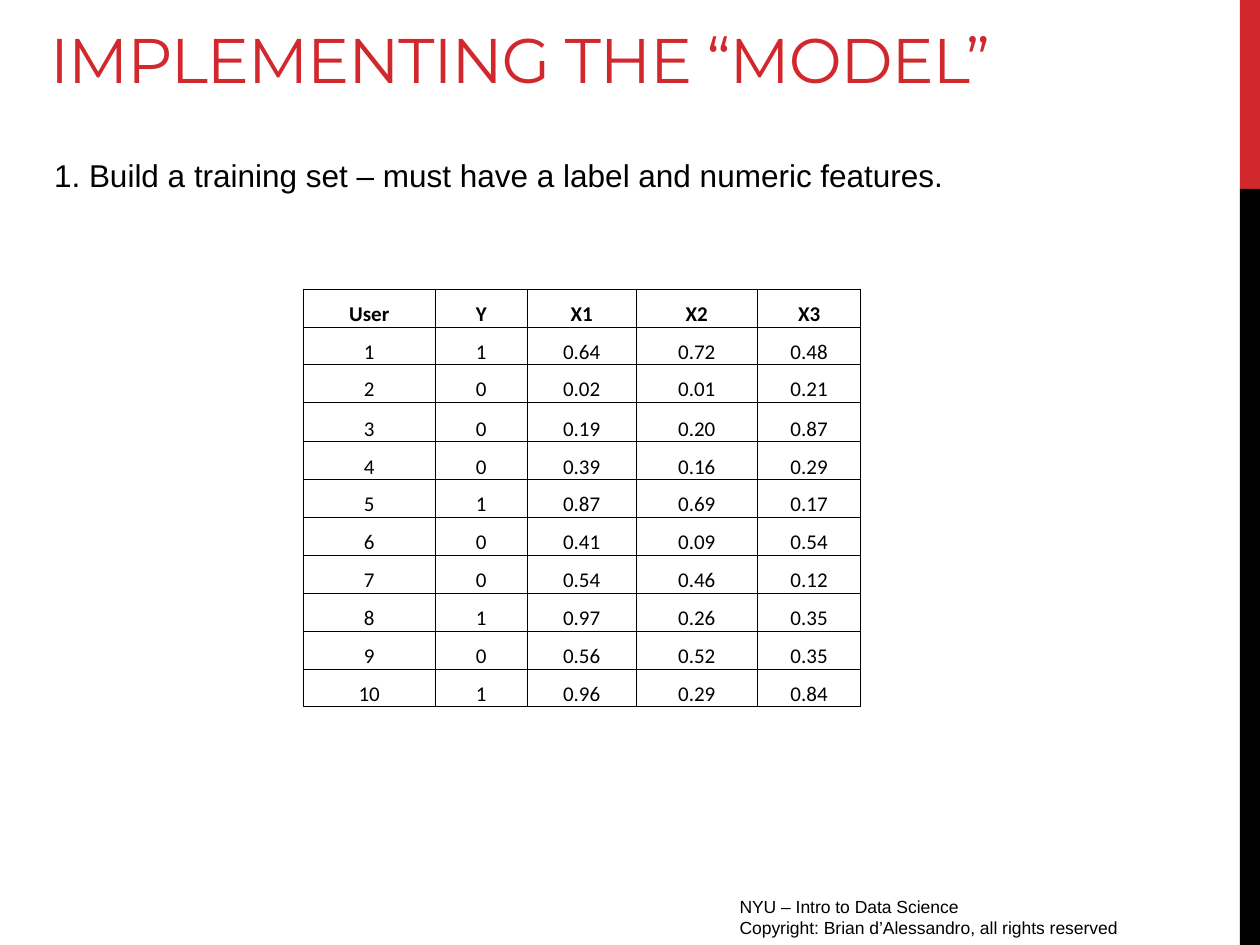
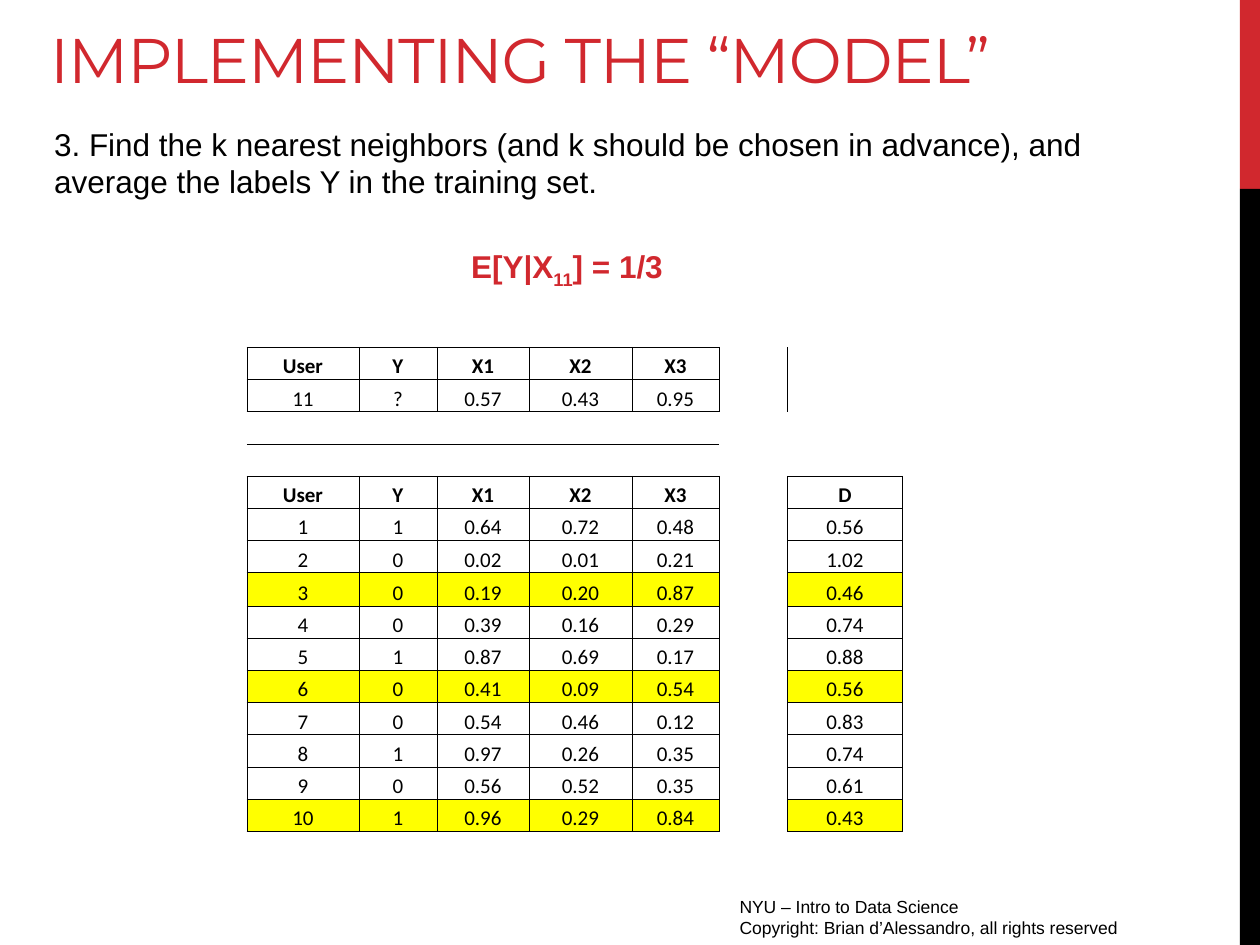
from dataclasses import dataclass

from lxml import etree
from pptx import Presentation
from pptx.dml.color import RGBColor
from pptx.enum.shapes import MSO_SHAPE
from pptx.enum.text import MSO_ANCHOR, PP_ALIGN
from pptx.oxml.ns import qn
from pptx.util import Pt

RECT = MSO_SHAPE.RECTANGLE
LEFT, CENTER = PP_ALIGN.LEFT, PP_ALIGN.CENTER
TOP, BOTTOM = MSO_ANCHOR.TOP, MSO_ANCHOR.BOTTOM

RED, BLACK, YELLOW = "D1282E", "000000", "FFFF00"
TITLE_FONT, BODY_FONT, TABLE_FONT = "Montserrat", "Arial", "Calibri"
NO_STYLE = "{2D5ABB26-0587-4C30-8999-92F81FD0307C}"

TITLE = "IMPLEMENTING THE “MODEL”"
FOOTER = "NYU – Intro to Data Science\nCopyright: Brian d’Alessandro, all rights reserved"
STEP_1 = "1. Build a training set – must have a label and numeric features."
STEP_3 = ("3. Find the k nearest neighbors (and k should be chosen in advance), "
          "and average the labels Y in the training set.")

HEADER = ["User", "Y", "X1", "X2", "X3"]
TRAINING = [
    ["1", "1", "0.64", "0.72", "0.48"],
    ["2", "0", "0.02", "0.01", "0.21"],
    ["3", "0", "0.19", "0.20", "0.87"],
    ["4", "0", "0.39", "0.16", "0.29"],
    ["5", "1", "0.87", "0.69", "0.17"],
    ["6", "0", "0.41", "0.09", "0.54"],
    ["7", "0", "0.54", "0.46", "0.12"],
    ["8", "1", "0.97", "0.26", "0.35"],
    ["9", "0", "0.56", "0.52", "0.35"],
    ["10", "1", "0.96", "0.29", "0.84"],
]
NEW_USER = ["11", "?", "0.57", "0.43", "0.95"]
DISTANCES = ["0.56", "1.02", "0.46", "0.74", "0.88", "0.56", "0.83", "0.74", "0.61", "0.43"]
NEAREST = {"3", "6", "10"}


@dataclass
class Box:
    left: float
    top: float
    width: float
    height: float

    def points(self) -> tuple:
        return Pt(self.left), Pt(self.top), Pt(self.width), Pt(self.height)


@dataclass
class TextStyle:
    font: str
    size: float
    color: str = BLACK
    bold: bool = False
    align: PP_ALIGN = LEFT
    anchor: MSO_ANCHOR = TOP


@dataclass
class Grid:
    left: float
    top: float
    columns: list[float]
    row_height: float
    tall_row: int
    tall_height: float
    highlighted: set[str]


TITLE_STYLE = TextStyle(TITLE_FONT, 36, RED, anchor=BOTTOM)
FOOTER_STYLE = TextStyle(BODY_FONT, 10)
BODY_STYLE = TextStyle(BODY_FONT, 18)
RESULT_STYLE = TextStyle(BODY_FONT, 18, RED, bold=True, align=CENTER)
BANDS = [(Box(708.5, 0, 11.5, 108), RED), (Box(708.5, 108, 11.5, 432), BLACK)]


def rgb(color: str) -> RGBColor:
    return RGBColor.from_string(color)


def style_paragraph(p, style: TextStyle) -> None:
    p.alignment = style.align
    for r in p.runs:
        r.font.name = style.font
        r.font.size = Pt(style.size)
        r.font.bold = style.bold
        r.font.color.rgb = rgb(style.color)


def add_text(s, box: Box, text: str, style: TextStyle):
    tf = s.shapes.add_textbox(*box.points()).text_frame
    tf.word_wrap = True
    tf.vertical_anchor = style.anchor
    tf.text = text
    for p in tf.paragraphs:
        style_paragraph(p, style)
    return tf


def add_base_slide(prs):
    """Blank slide with the side bands, footer and title."""
    s = prs.slides.add_slide(prs.slide_layouts[6])
    for box, color in BANDS:
        sp = s.shapes.add_shape(RECT, *box.points())
        sp.shadow.inherit = False
        sp.fill.solid()
        sp.fill.fore_color.rgb = rgb(color)
        sp.line.fill.background()
    add_text(s, Box(415.5, 508.3, 270, 22.3), FOOTER, FOOTER_STYLE)
    title = add_text(s, Box(21.6, 5, 627, 53.3), TITLE, TITLE_STYLE)
    title.paragraphs[0].runs[0].font._element.set("spc", "-60")
    return s


def add_border(cell, side: str) -> None:
    line = etree.SubElement(cell._tc.get_or_add_tcPr(), qn(f"a:ln{side}"), w=str(Pt(0.5)))
    fill = etree.SubElement(line, qn("a:solidFill"))
    etree.SubElement(fill, qn("a:srgbClr"), val=BLACK)


def add_data_table(s, grid: Grid, rows: list[list[str]]) -> None:
    """Table whose borders surround only the cells that hold text."""
    heights = [grid.row_height] * len(rows)
    heights[grid.tall_row] = grid.tall_height
    box = Box(grid.left, grid.top, sum(grid.columns), sum(heights))
    frame = s.shapes.add_table(len(rows), len(grid.columns), *box.points())
    table = frame.table
    table._tbl.tblPr.find(qn("a:tableStyleId")).text = NO_STYLE
    table.first_row = table.horz_banding = False
    for column, width in zip(table.columns, grid.columns):
        column.width = Pt(width)
    for row, height in zip(table.rows, heights):
        row.height = Pt(height)

    def filled(i: int, j: int) -> bool:
        return 0 <= i < len(rows) and 0 <= j < len(grid.columns) and rows[i][j] != ""

    for i, row in enumerate(rows):
        style = TextStyle(TABLE_FONT, 12, bold=row[0] == HEADER[0], align=CENTER)
        for j, value in enumerate(row):
            cell = table.cell(i, j)
            cell.margin_left = cell.margin_right = cell.margin_top = Pt(0.7)
            cell.margin_bottom = 0
            cell.vertical_anchor = BOTTOM
            neighbours = {"L": (i, j - 1), "R": (i, j + 1), "T": (i - 1, j), "B": (i + 1, j)}
            for side, place in neighbours.items():
                if value or filled(*place):
                    add_border(cell, side)
            if value and row[0] in grid.highlighted:
                cell.fill.solid()
                cell.fill.fore_color.rgb = rgb(YELLOW)
            else:
                cell.fill.background()
            cell.text = value
            p = cell.text_frame.paragraphs[0]
            style_paragraph(p, style)
            if not value:  # keeps empty rows from growing
                etree.SubElement(p._p, qn("a:endParaRPr"), sz="1200")


def build_training_slide(prs) -> None:
    s = add_base_slide(prs)
    grid = Grid(173.3, 165.2, [75.4, 52.6, 62.2, 69.4, 59], 21.65, 3, 22.4, set())
    add_data_table(s, grid, [HEADER] + TRAINING)
    add_text(s, Box(23.8, 85.7, 609, 29.5), STEP_1, BODY_STYLE)


def build_neighbors_slide(prs) -> None:
    s = add_base_slide(prs)
    add_text(s, Box(23.8, 67.7, 609, 51), STEP_3, BODY_STYLE)

    # New user on top, training set with distances below
    no_distance, blank = ["", ""], [""] * 7
    rows = [HEADER + no_distance, NEW_USER + no_distance, blank, blank, HEADER + ["", "D"]]
    rows += [user + ["", d] for user, d in zip(TRAINING, DISTANCES)]
    columns = [64, 44.6, 52.6, 58.9, 49.7, 39.4, 65.2]
    add_data_table(s, Grid(141.1, 198.5, columns, 18.4, 7, 19, NEAREST), rows)

    # Estimate with a subscript index
    p = add_text(s, Box(190.8, 137.5, 266.4, 29), "", RESULT_STYLE).paragraphs[0]
    for part in ("E[Y|X", "11", "] = 1/3"):
        p.add_run().text = part
    style_paragraph(p, RESULT_STYLE)
    p.runs[1].font._element.set("baseline", "-25000")


def main() -> None:
    prs = Presentation()
    prs.slide_width, prs.slide_height = Pt(720), Pt(540)
    build_training_slide(prs)
    build_neighbors_slide(prs)
    prs.save("out.pptx")


if __name__ == "__main__":
    main()
